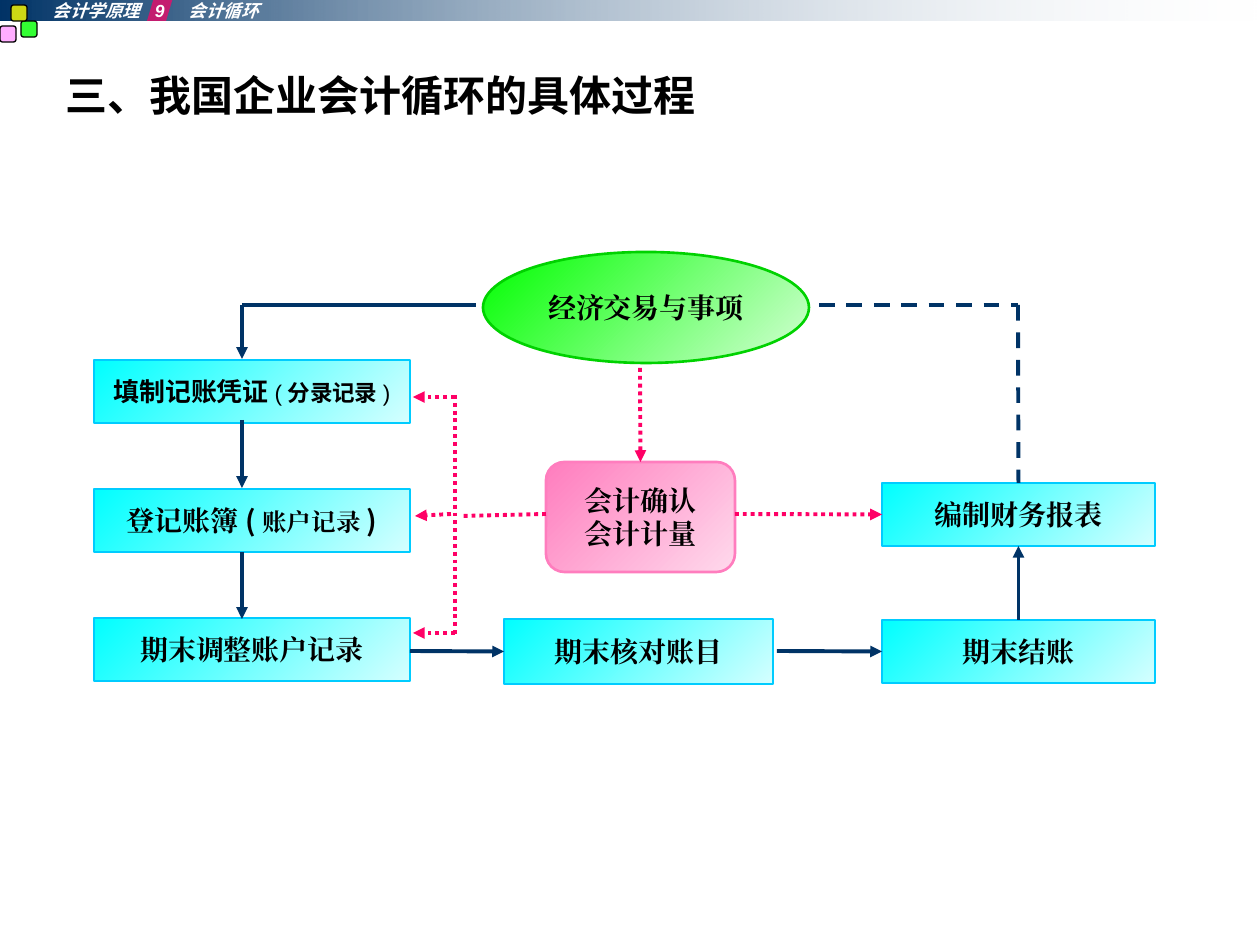
from lxml import etree
from pptx import Presentation
from pptx import util as u
from pptx.dml.color import RGBColor
from pptx.enum import dml, shapes, text
from pptx.oxml.ns import qn

SCALE = 914400 / 126
COLORS = {
    "navy": "003366", "mist": "E7ECF1", "black": "000000", "white": "FFFFFF",
    "pink": "FF99FF", "lime": "00FF00", "yellow": "FFFF00", "magenta": "FF0066",
    "pale_lime": "D5FFD5", "green_edge": "00D200",
    "cyan": "00FFFF", "pale_cyan": "D5FFFF", "cyan_edge": "00CCFF",
    "rose": "FF7DBE", "pale_rose": "FFD9EC",
}
# Start colour, end colour and edge of each kind of node
STEP = ("cyan", "pale_cyan", "cyan_edge")
EVENT = ("lime", "pale_lime", "green_edge")
MEASURE = ("rose", "pale_rose", "rose")
TIMES, ARIAL, NOTO = "Times New Roman", "Arial", "Noto Sans CJK SC"
FLOW = {"color": "navy"}
RETURN = {"color": "navy", "dash": dml.MSO_LINE.DASH}
BASIS = {"color": "magenta", "dash": dml.MSO_LINE.ROUND_DOT}
SHAPE = shapes.MSO_SHAPE


def px(*lengths):
    return [u.Emu(round(length * SCALE)) for length in lengths]


def rgb(name):
    return RGBColor.from_string(COLORS[name])


def set_alpha(parent, percent):
    color = list(parent.iter(qn("a:srgbClr")))[-1]
    etree.SubElement(color, qn("a:alpha"), val=str(percent * 1000))


def add_run(paragraph, words, size, face=TIMES, color="black", bold=True, italic=False):
    run = paragraph.add_run()
    run.text = words
    formats = {"size": u.Pt(size), "name": face, "bold": bold, "italic": italic}
    for key, value in formats.items():
        setattr(run.font, key, value)
    run.font.color.rgb = rgb(color)
    east_asian = etree.SubElement(run.font._element, qn("a:ea"))
    east_asian.set("typeface", face)


def add_text(slide, box, runs, inset=None, tabs=()):
    label = slide.shapes.add_textbox(*px(*box))
    frame = label.text_frame
    frame.word_wrap = True
    if inset is not None:
        for side in ("left", "top", "right", "bottom"):
            setattr(frame, f"margin_{side}", inset)
    paragraph = frame.paragraphs[0]
    if tabs:
        stops = etree.SubElement(paragraph._p.get_or_add_pPr(), qn("a:tabLst"))
        for stop in px(*tabs):
            etree.SubElement(stops, qn("a:tab"), pos=str(stop), algn="l")
    for run in runs:
        add_run(paragraph, **run)


def add_plain(slide, kind, box, color, alpha, edge=None):
    badge = slide.shapes.add_shape(kind, *px(*box))
    badge.shadow.inherit = False
    badge.fill.solid()
    badge.fill.fore_color.rgb = rgb(color)
    set_alpha(badge._element.spPr, alpha)
    if edge:
        badge.line.color.rgb = rgb(edge)
        badge.line.width = u.Pt(0.75)
    else:
        badge.line.fill.background()
    return badge


def fill_gradient(shape, start, end, angle):
    shape.shadow.inherit = False
    shape.fill.gradient()
    shape.fill.gradient_angle = angle
    for stop, color in zip(shape.fill.gradient_stops, (start, end)):
        stop.color.rgb = rgb(color)


def add_node(slide, box, paragraphs, style=STEP, kind=SHAPE.RECTANGLE):
    """Each paragraph is a list of run formats."""
    node = slide.shapes.add_shape(kind, *px(*box))
    start, end, edge = style
    fill_gradient(node, start, end, 315)
    node.line.color.rgb = rgb(edge)
    node.line.width = u.Pt(1.5)
    frame = node.text_frame
    frame.vertical_anchor = text.MSO_ANCHOR.MIDDLE
    for index, runs in enumerate(paragraphs):
        paragraph = frame.add_paragraph() if index else frame.paragraphs[0]
        paragraph.alignment = text.PP_ALIGN.CENTER
        for run in runs:
            add_run(paragraph, **run)
    return node


def add_link(slide, start, end, color, dash=None, arrow=True, begin=None, finish=None):
    """begin and finish are (node, side) pairs to join the ends to."""
    link = slide.shapes.add_connector(shapes.MSO_CONNECTOR.STRAIGHT, *px(*start, *end))
    link.line.color.rgb = rgb(color)
    link.line.width = u.Pt(2.25)
    if dash:
        link.line.dash_style = dash
    if arrow:
        etree.SubElement(link.line._get_or_add_ln(), qn("a:tailEnd"), type="triangle")
    etree.SubElement(link._element.spPr, qn("a:effectLst"))
    if begin:
        link.begin_connect(*begin)
    if finish:
        link.end_connect(*finish)


def plain(*lines):
    return [[{"words": line, "size": 16}] for line in lines]


def add_header(slide):
    band = slide.shapes.add_shape(SHAPE.RECTANGLE, *px(0, 0, 1260, 21))
    fill_gradient(band, "navy", "mist", 0)
    set_alpha(band._element.spPr, 0)
    band.line.fill.background()
    for left, top, color in ((0, 26, "pink"), (21, 21, "lime"), (11, 5, "yellow")):
        add_plain(slide, SHAPE.ROUNDED_RECTANGLE, (left, top, 16, 16), color, 80, "black")
    chapter = add_plain(slide, SHAPE.PARALLELOGRAM, (147, -2, 26, 23), "magenta", 70)
    chapter.adjustments[0] = 0.3
    add_text(slide, (53, 0, 368, 21),
             [{"words": "会计学原理\t9\t会计循环", "size": 10, "face": ARIAL,
               "color": "white", "italic": True}], inset=0, tabs=(102, 136))


def add_cycle(slide):
    # Nodes
    event = (483, 252, 326, 111)
    add_node(slide, event, plain("经济交易与事项"), EVENT, SHAPE.OVAL)
    records = (
        [[{"words": "填制记账凭证", "size": 14.8, "face": ARIAL},
          {"words": "(", "size": 12.9, "face": ARIAL, "bold": False},
          {"words": "分录记录", "size": 12.9, "face": ARIAL},
          {"words": ")", "size": 12.9, "face": ARIAL, "bold": False}]],
        [[{"words": "登记账簿", "size": 16},
          {"words": "(", "size": 16, "face": NOTO},
          {"words": "账户记录", "size": 14},
          {"words": ")", "size": 16, "face": NOTO}]],
        plain("期末调整账户记录"),
    )
    for row, record in enumerate(records):
        add_node(slide, (94, 360 + 129 * row, 316, 63), record)
    check = add_node(slide, (504, 619, 269, 65), plain("期末核对账目"))
    measure = add_node(slide, (546, 462, 189, 110), plain("会计确认", "会计计量"),
                       MEASURE, SHAPE.ROUNDED_RECTANGLE)
    closing = add_node(slide, (882, 620, 273, 63), plain("期末结账"))
    report = add_node(slide, (882, 483, 273, 63), plain("编制财务报表"))

    # Main flow
    add_link(slide, (476, 305), (242, 305), arrow=False, **FLOW)
    for top, bottom in ((305, 359), (420, 488), (552, 619)):
        add_link(slide, (242, top), (242, bottom), **FLOW)
    add_link(slide, (410, 651), (504, 651), finish=(check, 1), **FLOW)
    add_link(slide, (777, 651), (882, 651), finish=(closing, 1), **FLOW)
    add_link(slide, (1018, 620), (1018, 546), begin=(closing, 0), finish=(report, 2), **FLOW)

    # Return from the report to the event
    add_link(slide, (819, 305), (1018, 305), arrow=False, **RETURN)
    add_link(slide, (1018, 305), (1018, 483), arrow=False, finish=(report, 0), **RETURN)

    # Recognition and measurement as the basis of each record
    add_link(slide, (640, 368), (640, 462), finish=(measure, 0), **BASIS)
    add_link(slide, (735, 514), (882, 514), finish=(report, 1), **BASIS)
    add_link(slide, (546, 514), (462, 516), arrow=False, **BASIS)
    add_link(slide, (451, 514), (415, 516), **BASIS)
    for level in (397, 633):
        add_link(slide, (455, level), (413, level), **BASIS)
    add_link(slide, (455, 395), (455, 634), arrow=False, **BASIS)


def main():
    deck = Presentation()
    deck.slide_width, deck.slide_height = px(1260, 945)
    slide = deck.slides.add_slide(deck.slide_layouts[6])
    add_text(slide, (53, 63, 1155, 829),
             [{"words": "三、", "size": 24, "face": NOTO},
              {"words": "我国企业会计循环的具体过程", "size": 24, "face": ARIAL}])
    add_header(slide)
    add_cycle(slide)
    deck.save("out.pptx")


if __name__ == "__main__":
    main()
